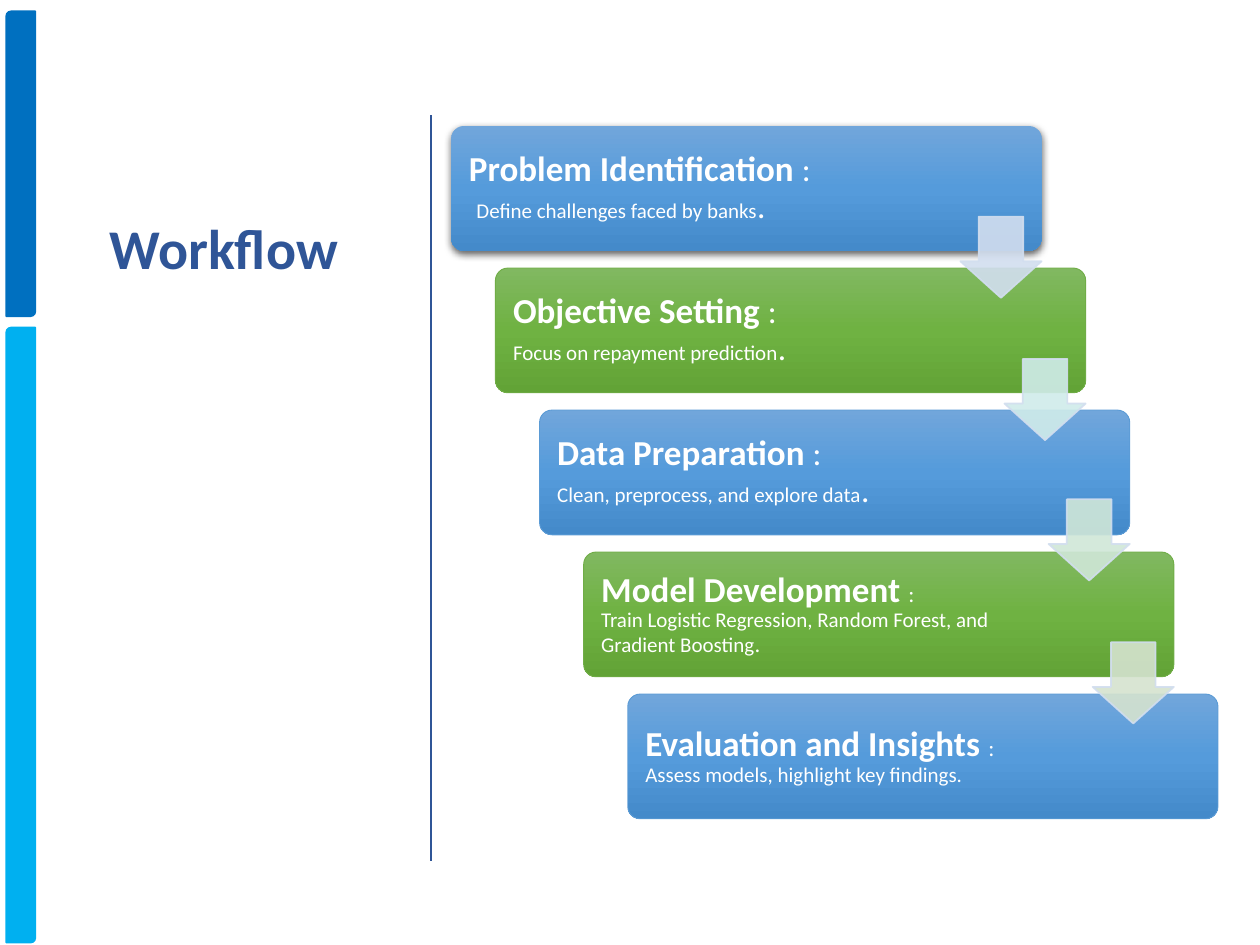
from lxml import etree
from pptx import Presentation
from pptx import util as u
from pptx.dml import color
from pptx.enum import shapes, text
from pptx.oxml import ns

FONT = "Calibri"
NAVY = "2F5597"
BLUE = ("5B9BD5", ("71A6DB", "559BDB", "448ACA"))
GREEN = ("70AD47", ("81B861", "6FB242", "62A336"))
STEP_X, STEP_Y = 25.2, 81.15

# heading, detail, end mark, colon size
STEPS = [
    ("Problem Identification ", " ", "Define challenges faced by banks", ".", 19),
    ("Objective Setting ", "", "Focus on repayment prediction", ".", 19),
    ("Data Preparation ", "", "Clean, preprocess, and explore data", ".", 19),
    ("Model Development ", "",
     "Train Logistic Regression, Random Forest, and Gradient Boosting", ".", 13),
    ("Evaluation and Insights ", "", "Assess models, highlight key findings.", "", 13),
]
ARROWS = [(123.8, "D2DEEF"), (205.1, "D0ECEA"), (285.3, "D0E7D8"), (367, "D5E3CF")]


def rgb(value):
    """Return the colour for a hex string."""
    return color.RGBColor.from_string(value)


def sub(parent, tag, **attributes):
    """Append a DrawingML element and return it."""
    return etree.SubElement(parent, ns.qn(tag), attributes)


def add_block(slide, kind, box, fill, line=None, width=1):
    """Add a preset shape with a plain fill and no shadow."""
    block = slide.shapes.add_shape(kind, *map(u.Pt, box))
    block.shadow.inherit = False
    block.fill.solid()
    block.fill.fore_color.rgb = rgb(fill)
    if line:
        block.line.color.rgb = rgb(line)
        block.line.width = u.Pt(width)
    else:
        block.line.fill.background()
    return block


def set_gradient(block, stops):
    """Replace the plain fill with an even vertical gradient."""
    solid = block.element.spPr.find(ns.qn("a:solidFill"))
    gradient = etree.Element(ns.qn("a:gradFill"), rotWithShape="1")
    stop_list = sub(gradient, "a:gsLst")
    for index, value in enumerate(stops):
        stop = sub(stop_list, "a:gs", pos=str(index * 50000))
        sub(stop, "a:srgbClr", val=value)
    sub(gradient, "a:lin", ang="5400000", scaled="0")
    solid.getparent().replace(solid, gradient)


def add_shadow(block):
    """Give the shape a soft shadow below it."""
    effects = block.element.spPr.find(ns.qn("a:effectLst"))
    shadow = sub(effects, "a:outerShdw", blurRad=str(u.Pt(4.5)), dist=str(u.Pt(1.5)),
                 dir="5400000", algn="ctr", rotWithShape="0")
    sub(sub(shadow, "a:srgbClr", val="000000"), "a:alpha", val="63000")


def add_run(paragraph, wording, size, bold=False, ink="FFFFFF"):
    """Add a formatted run to a paragraph."""
    run = paragraph.add_run()
    run.text = wording
    for name, value in {"name": FONT, "size": u.Pt(size), "bold": bold}.items():
        setattr(run.font, name, value)
    run.font.color.rgb = rgb(ink)


def format_frame(frame, values):
    """Set text frame attributes from a dict and left-align its first paragraph."""
    for name, value in values.items():
        setattr(frame, name, value)
    paragraph = frame.paragraphs[0]
    paragraph.alignment = text.PP_ALIGN.LEFT
    paragraph.line_spacing = 0.9
    return paragraph


def add_title(slide):
    """Place the slide title."""
    title = slide.shapes.title
    for name, value in {"left": 55.4, "top": 122.4, "width": 221.8, "height": 42.5}.items():
        setattr(title, name, u.Pt(value))
    paragraph = format_frame(title.text_frame, {
        "word_wrap": True, "auto_size": text.MSO_AUTO_SIZE.NONE,
        "vertical_anchor": text.MSO_ANCHOR.MIDDLE})
    add_run(paragraph, "Workflow", 32, True, NAVY)


def add_divider(slide):
    """Draw the vertical rule beside the steps."""
    divider = slide.shapes.add_connector(
        shapes.MSO_CONNECTOR.STRAIGHT, *map(u.Pt, (246.2, 66, 246.2, 492)))
    divider.line.color.rgb = rgb(NAVY)
    divider.line.width = u.Pt(1.5)
    sub(divider.element.spPr, "a:effectLst")


def add_step(slide, index, step):
    """Add one box of the staircase."""
    heading, indent, detail, end_mark, mark_size = step
    border, stops = GREEN if index % 2 else BLUE
    first = index == 0
    box = (257.9 + index * STEP_X, 72 + index * STEP_Y, 337.3, 71.3)
    block = add_block(slide, shapes.MSO_SHAPE.ROUNDED_RECTANGLE, box, border,
                      None if first else border, 0.5)
    block.adjustments[0] = 0.1
    set_gradient(block, stops)
    if first:
        add_shadow(block)
    paragraph = format_frame(block.text_frame, {
        "word_wrap": True, "vertical_anchor": text.MSO_ANCHOR.MIDDLE,
        "margin_left": u.Pt(8), "margin_top": u.Pt(8), "margin_bottom": u.Pt(8),
        "margin_right": u.Pt(89 if first else 80)})
    add_run(paragraph, heading, 20, True)
    add_run(paragraph, ":", mark_size)
    paragraph.add_line_break()
    if indent:
        add_run(paragraph, indent, mark_size)
    add_run(paragraph, detail, 12)
    if end_mark:
        add_run(paragraph, end_mark, mark_size)


def add_arrow(slide, index, top, fill):
    """Add a translucent arrow leading to the next step."""
    box = (548.8 + index * STEP_X, top, 46.4, 46.4)
    arrow = add_block(slide, shapes.MSO_SHAPE.DOWN_ARROW, box, fill, "D2DEEF")
    arrow.adjustments[0] = 0.55
    arrow.adjustments[1] = 0.45
    for tint in arrow.element.spPr.iter(ns.qn("a:srgbClr")):
        sub(tint, "a:alpha", val="90000")


def main():
    """Build and save the workflow slide."""
    deck = Presentation()
    deck.slide_width, deck.slide_height = u.Pt(720), u.Pt(540)
    slide = deck.slides.add_slide(deck.slide_layouts[5])
    for top, height, fill in ((6.5, 174.2, "0070C0"), (187.2, 351.4, "00B0F0")):
        add_block(slide, shapes.MSO_SHAPE.ROUND_2_DIAG_RECTANGLE,
                  (3.6, top, 16.6, height), fill, fill)
    add_title(slide)
    add_divider(slide)
    for index, step in enumerate(STEPS):
        add_step(slide, index, step)
    for index, (top, fill) in enumerate(ARROWS):
        add_arrow(slide, index, top, fill)
    deck.save("out.pptx")


if __name__ == "__main__":
    main()
